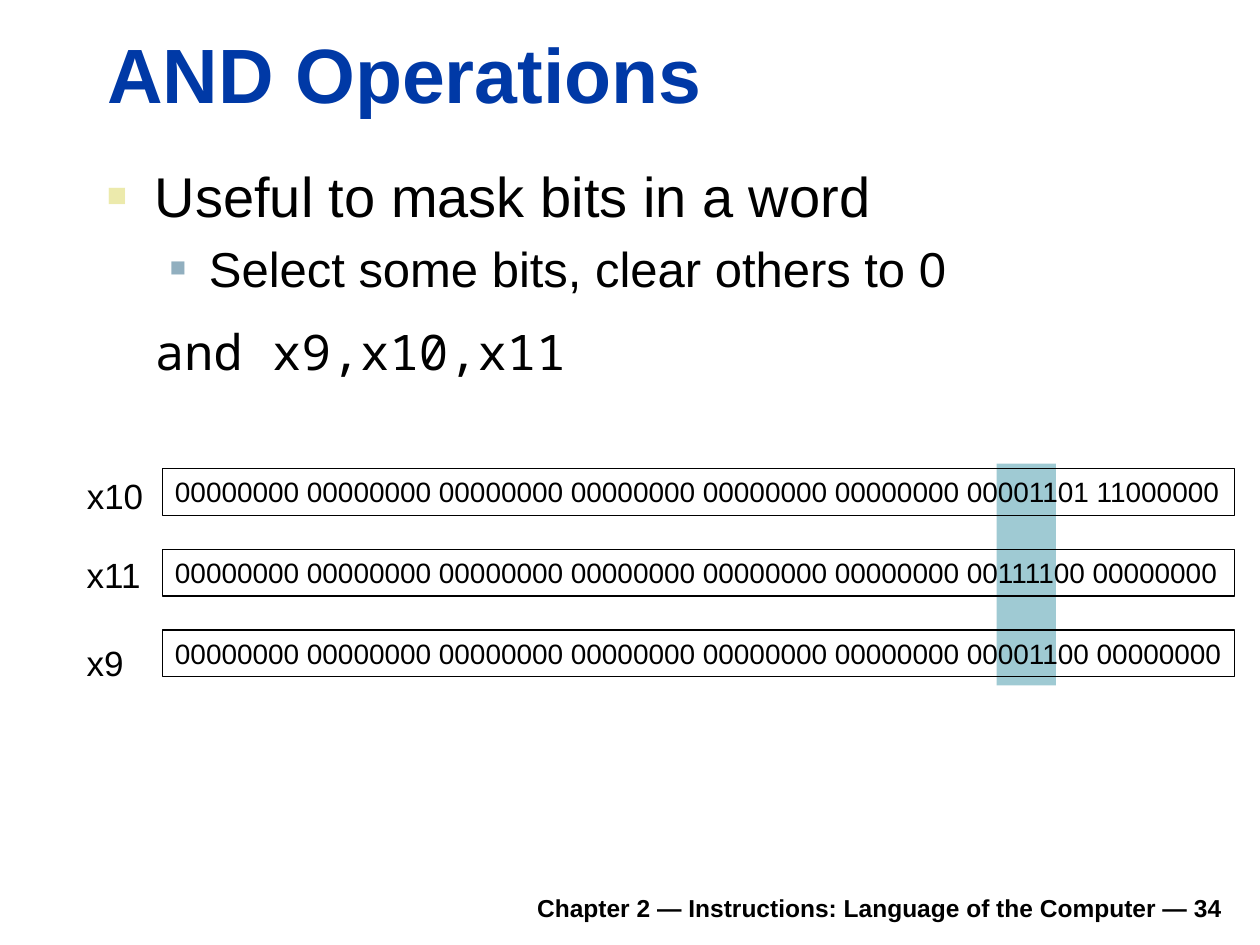
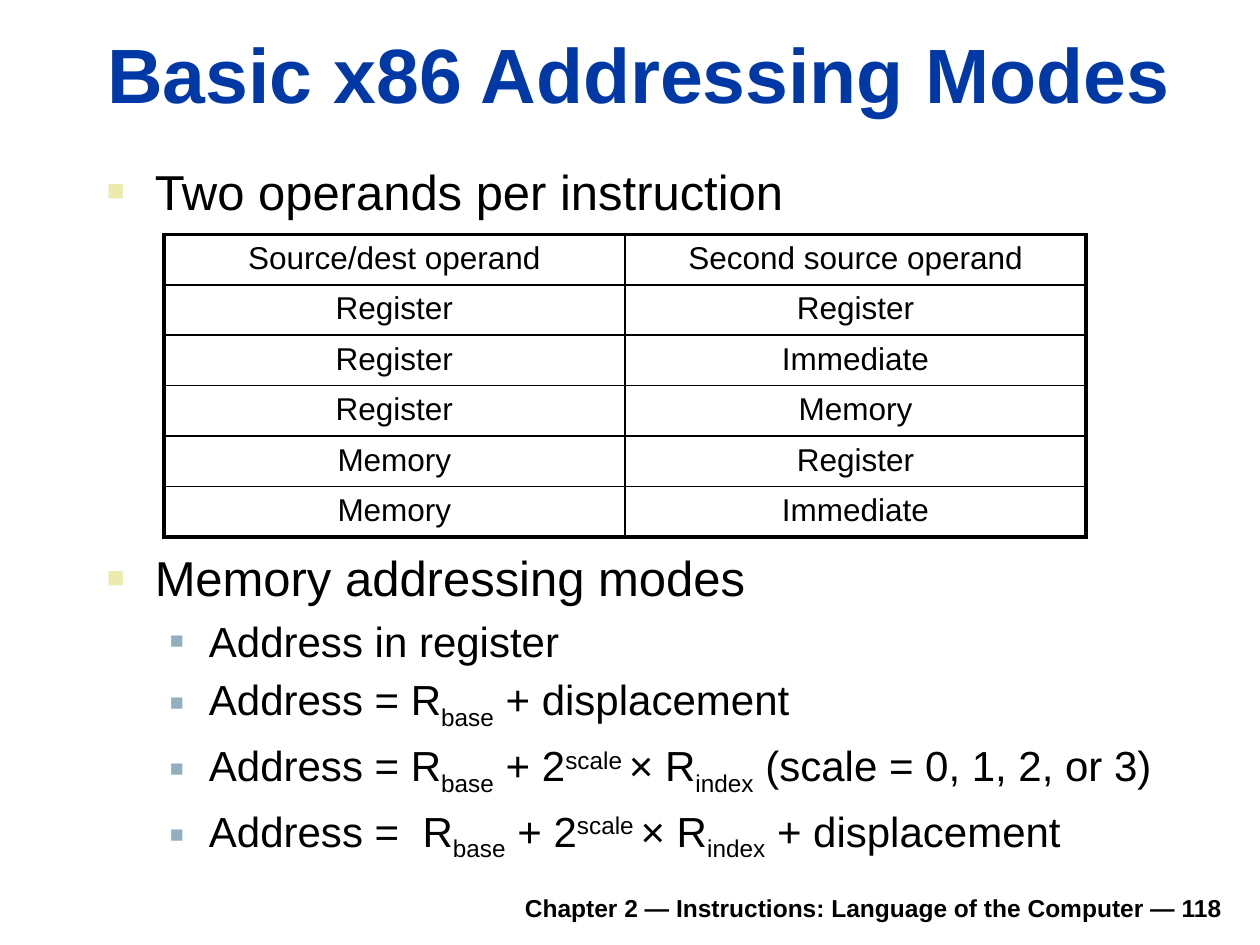
from dataclasses import dataclass
from typing import Optional

from lxml.etree import SubElement
from pptx import Presentation
from pptx.dml.color import RGBColor as RGB
from pptx.enum.shapes import MSO_SHAPE as SHAPE
from pptx.enum.text import MSO_ANCHOR as ANCHOR, PP_ALIGN as ALIGN
from pptx.oxml.ns import qn
from pptx.util import Inches, Pt

COLORS = {
    "title": "0039A6",
    "text": "000000",
    "bullet": "ECEAAC",
    "sub_bullet": "91AFBF",
    "mask": "9FCAD3",
}
SANS, MONO = "Arial", "Noto Sans Mono"
WIDTH, HEIGHT = Inches(10), Inches(7.5)
SUB, SUPER = -25, 30


@dataclass(frozen=True)
class Box:
    """A place on the slide, in percent of its width and height."""
    left: float
    top: float
    width: float
    height: float

    def emu(self) -> tuple:
        return (int(WIDTH * self.left / 100), int(HEIGHT * self.top / 100),
                int(WIDTH * self.width / 100), int(HEIGHT * self.height / 100))


@dataclass(frozen=True)
class Level:
    """Indents in inches, bullet colour and size, space before as a share of the text size."""
    margin: float = 0
    hang: float = 0
    bullet: Optional[str] = None
    bullet_pct: int = 0
    before: float = 0


@dataclass(frozen=True)
class Register:
    name: str
    bits: str
    label_top: float
    label_width: float


PLAIN = Level()
TOP = Level(0.38, 0.38, "bullet", 60, 0.2)
NESTED = Level(0.81, 0.31, "sub_bullet", 55, 0.2)
CODE = Level(margin=0.38, before=0.5)

TITLE_BOX = Box(7.5, 2.13, 90.3, 11.07)
FOOTER_BOX = Box(18.5, 93.07, 79.5, 5.2)
BODY_LEFT, BODY_TOP, BODY_WIDTH = 7.5, 16.4, 90.5

ZERO = "00000000"
REGISTERS = [
    Register("x10", "00001101 11000000", 49.6, 6.5),
    Register("x11", "00111100 00000000", 57.87, 6.3),
    Register("x9", "00001100 00000000", 67.2, 5),
]
WORD_TOP, WORD_PITCH = 49.6, 8.53

OPERANDS = [
    ("Source/dest operand", "Second source operand"),
    ("Register", "Register"),
    ("Register", "Immediate"),
    ("Register", "Memory"),
    ("Memory", "Register"),
    ("Memory", "Immediate"),
]
BASE, SCALE, INDEX = ("base", SUB), ("scale ", SUPER), ("index", SUB)
SCALED = [BASE, " + 2", SCALE, "× R", INDEX]
ADDRESS_MODES = [
    ["Address in register"],
    ["Address = R", BASE, " + displacement"],
    ["Address = R", *SCALED, " (scale = 0, 1, 2, or 3)"],
    ["Address =  R", *SCALED, " + displacement"],
]


def color(name: str) -> RGB:
    return RGB.from_string(COLORS[name])


def set_bullet(p, level: Level) -> None:
    pPr = p._p.get_or_add_pPr()
    pPr.set("marL", str(Inches(level.margin)))
    pPr.set("indent", str(-Inches(level.hang)))
    if level.bullet is None:
        SubElement(pPr, qn("a:buNone"))
        return
    clr = SubElement(pPr, qn("a:buClr"))
    SubElement(clr, qn("a:srgbClr"), val=COLORS[level.bullet])
    SubElement(pPr, qn("a:buSzPct"), val=str(level.bullet_pct * 1000))
    SubElement(pPr, qn("a:buFont"), typeface=SANS)
    SubElement(pPr, qn("a:buChar"), char="■")


def write(tf, *parts, size: float, font: str = SANS, fill: str = "text", bold: bool = False,
          align=ALIGN.LEFT, level: Level = PLAIN) -> None:
    """Append a paragraph; a part is a string, or a string with its baseline shift in percent."""
    first = not tf.paragraphs[0].runs
    p = tf.paragraphs[0] if first else tf.add_paragraph()
    set_bullet(p, level)
    p.alignment = align
    p.space_before = Pt(0 if first else level.before * size)
    for part in parts:
        text, shift = (part, 0) if isinstance(part, str) else part
        r = p.add_run()
        r.text = text
        r.font.size, r.font.name, r.font.bold = Pt(size), font, bold
        r.font.color.rgb = color(fill)
        if shift:
            r._r.get_or_add_rPr().set("baseline", str(shift * 1000))


def add_text(slide, box: Box, wrap: bool = True, anchor=ANCHOR.TOP):
    tf = slide.shapes.add_textbox(*box.emu()).text_frame
    tf.word_wrap, tf.vertical_anchor = wrap, anchor
    return tf


def add_rect(slide, box: Box, fill: Optional[str] = None):
    """A filled rectangle without a line, or an outlined one without a fill."""
    sp = slide.shapes.add_shape(SHAPE.RECTANGLE, *box.emu())
    sp.shadow.inherit = False
    if fill:
        sp.fill.solid()
        sp.fill.fore_color.rgb = color(fill)
        sp.line.fill.background()
    else:
        sp.fill.background()
        sp.line.color.rgb = color("text")
        sp.line.width = Pt(0.75)
    return sp


def add_slide(prs, title: str, number: int):
    slide = prs.slides.add_slide(prs.slide_layouts[5])
    sp = slide.shapes.title
    sp.left, sp.top, sp.width, sp.height = TITLE_BOX.emu()
    sp.text_frame.vertical_anchor = ANCHOR.BOTTOM
    write(sp.text_frame, title, size=44, fill="title", bold=True)
    footer = add_text(slide, FOOTER_BOX, anchor=ANCHOR.BOTTOM)
    write(footer, f"Chapter 2 — Instructions: Language of the Computer — {number}",
          size=14, bold=True, align=ALIGN.RIGHT)
    return slide


def set_borders(cell, **widths: float) -> None:
    tcPr = cell._tc.get_or_add_tcPr()
    for side, width in widths.items():
        ln = SubElement(tcPr, qn(f"a:ln{side}"), w=str(Pt(width)))
        fill = SubElement(ln, qn("a:solidFill"))
        SubElement(fill, qn("a:srgbClr"), val=COLORS["text"])


def add_operand_table(slide, box: Box) -> None:
    rows, cols = len(OPERANDS), len(OPERANDS[0])
    table = slide.shapes.add_table(rows, cols, *box.emu()).table
    table.first_row = table.horz_banding = False
    outer, inner = 2.25, 1
    for i, operands in enumerate(OPERANDS):
        for j, operand in enumerate(operands):
            cell = table.cell(i, j)
            write(cell.text_frame, operand, size=18, align=ALIGN.CENTER)
            set_borders(cell,
                        L=outer if j == 0 else inner,
                        R=outer if j == cols - 1 else inner,
                        T=outer if i == 0 else inner,
                        B=outer if i == rows - 1 else inner)
            cell.fill.background()


def build_and_operations(prs) -> None:
    slide = add_slide(prs, "AND Operations", 34)
    add_rect(slide, Box(79.1, 49.07, 4.7, 23.47), fill="mask")
    tf = add_text(slide, Box(BODY_LEFT, BODY_TOP, BODY_WIDTH, 30.27))
    write(tf, "Useful to mask bits in a word", size=32, level=TOP)
    write(tf, "Select some bits, clear others to 0", size=28, level=NESTED)
    write(tf, "and x9,x10,x11", size=28, font=MONO, level=CODE)
    for i, reg in enumerate(REGISTERS):
        word = add_rect(slide, Box(12.9, WORD_TOP + i * WORD_PITCH, 85.1, 4.93))
        word.text_frame.vertical_anchor = ANCHOR.TOP
        write(word.text_frame, " ".join([ZERO] * 6 + [reg.bits]), size=16)
        label = add_text(slide, Box(5.9, reg.label_top, reg.label_width, 5.87), wrap=False)
        write(label, reg.name, size=20)


def build_addressing_modes(prs) -> None:
    slide = add_slide(prs, "Basic x86 Addressing Modes", 118)
    tf = add_text(slide, Box(BODY_LEFT, BODY_TOP, BODY_WIDTH, 9.47))
    write(tf, "Two operands per instruction", size=28, level=TOP)
    add_operand_table(slide, Box(13, 24.8, 73.2, 32))
    tf = add_text(slide, Box(BODY_LEFT, 57.33, BODY_WIDTH, 33.6))
    write(tf, "Memory addressing modes", size=28, level=TOP)
    for mode in ADDRESS_MODES:
        write(tf, *mode, size=24, level=NESTED)


def main() -> None:
    prs = Presentation()
    prs.slide_width, prs.slide_height = WIDTH, HEIGHT
    build_and_operations(prs)
    build_addressing_modes(prs)
    prs.save("out.pptx")


if __name__ == "__main__":
    main()
